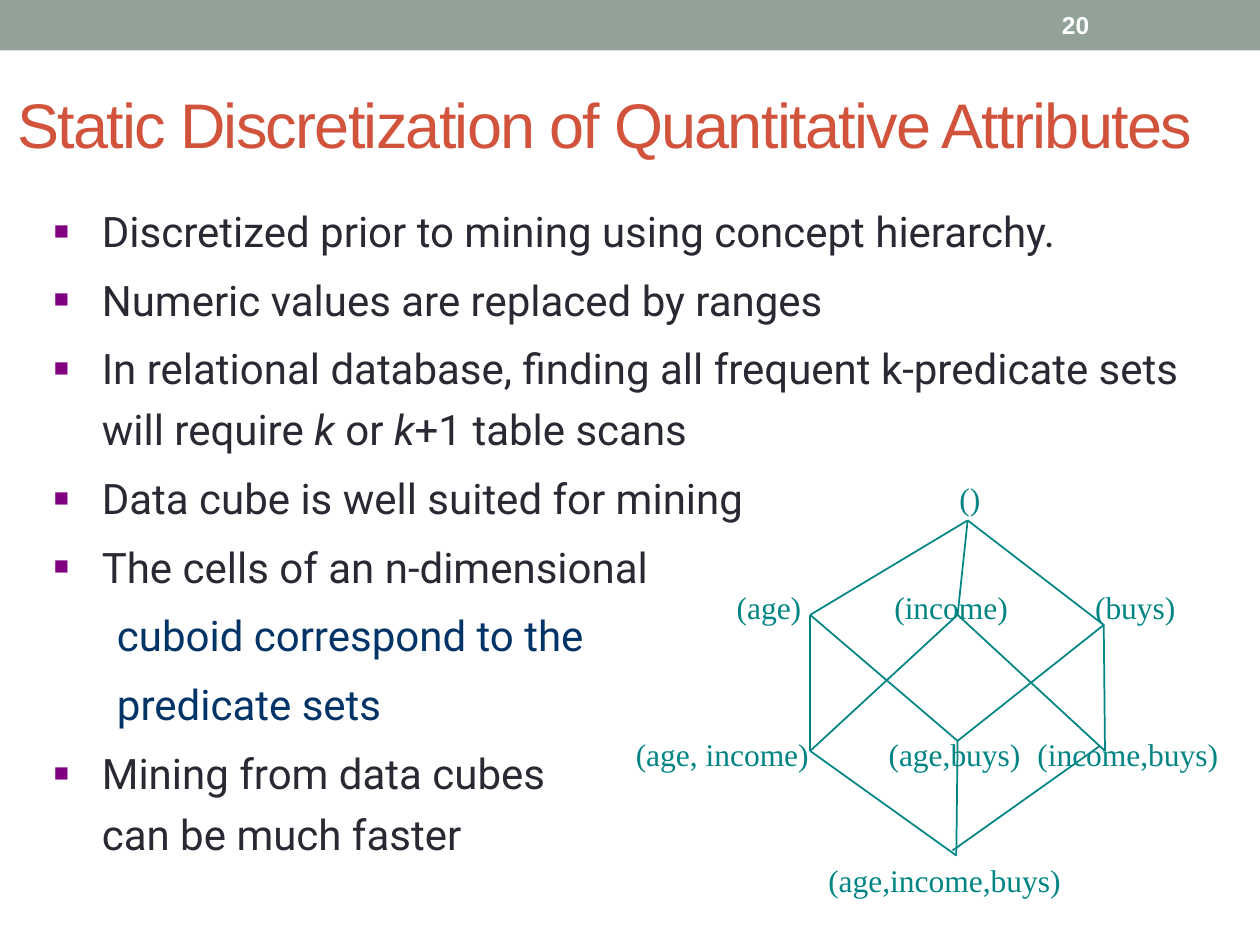
"""Build the slide on static discretization with its cuboid lattice."""
from lxml import etree
from pptx import Presentation
from pptx.dml.color import RGBColor
from pptx.enum import shapes, text
from pptx.oxml import ns
from pptx.util import Inches, Pt

SAGE = RGBColor(0x93, 0xA2, 0x99)
RUST = RGBColor(0xD2, 0x53, 0x3C)
INK = RGBColor(0x29, 0x29, 0x34)
NAVY = RGBColor(0x00, 0x33, 0x66)
TEAL = RGBColor(0x00, 0x84, 0x84)
WHITE = RGBColor(0xFF, 0xFF, 0xFF)
PURPLE = RGBColor(0x80, 0x00, 0x80)


def add_box(parent, left, top, width, height, inset=True, wrap=True):
    tf = parent.shapes.add_textbox(
        Inches(left), Inches(top), Inches(width), Inches(height)).text_frame
    tf.word_wrap = wrap
    if not inset:
        tf.margin_left = tf.margin_right = tf.margin_top = tf.margin_bottom = 0
    return tf


def add_run(p, words, size, font, color):
    r = p.add_run()
    r.text = words
    r.font.size = Pt(size)
    r.font.name = font
    r.font.color.rgb = color
    return r


prs = Presentation()
prs.slide_width = Inches(10)
prs.slide_height = Inches(7.5)
s = prs.slides.add_slide(prs.slide_layouts[6])

band = s.shapes.add_shape(
    shapes.MSO_SHAPE.RECTANGLE, 0, 0, prs.slide_width, Inches(0.4))
band.shadow.inherit = False
band.fill.solid()
band.fill.fore_color.rgb = SAGE
band.line.fill.background()

tf = add_box(s, 0.04, 0.33, 10, 1.29)
tf.vertical_anchor = text.MSO_ANCHOR.MIDDLE
r = add_run(tf.paragraphs[0], "Static Discretization of Quantitative Attributes",
            36, "Arial", RUST)
r.font._element.set("spc", "-100")

BODY = [
    (0, ["Discretized prior to mining using concept hierarchy."]),
    (0, ["Numeric values are replaced by ranges"]),
    (0, ["In relational database, finding all frequent k-predicate sets will require ",
         "k", " or ", "k", "+1 table scans"]),
    (0, ["Data cube is well suited for mining"]),
    (0, ["The cells of an n-dimensional"]),
    (1, ["cuboid correspond to the"]),
    (1, ["predicate sets"]),
    (0, ["Mining from data cubes", "\n", "can be much faster"]),
]
tf = add_box(s, 0.33, 1.5, 9.25, 5.67)
for i, (level, runs) in enumerate(BODY):
    p = tf.add_paragraph() if i else tf.paragraphs[0]
    p.level = level
    p.line_spacing = 1.2
    p.space_before = Pt(4.8)
    margin, indent = (0.81, -0.31) if level else (0.38, -0.38)
    pPr = p._p.get_or_add_pPr()
    pPr.set("marL", str(Inches(margin)))
    pPr.set("indent", str(Inches(indent)))
    if level:
        etree.SubElement(pPr, ns.qn("a:buNone"))
    else:
        clr = etree.SubElement(pPr, ns.qn("a:buClr"))
        etree.SubElement(clr, ns.qn("a:srgbClr"), val=str(PURPLE))
        etree.SubElement(pPr, ns.qn("a:buSzPct"), val="60000")
        etree.SubElement(pPr, ns.qn("a:buFont"), typeface="Arial")
        etree.SubElement(pPr, ns.qn("a:buChar"), char="■")
    for words in runs:
        if words == "\n":
            p.add_line_break()
        else:
            r = add_run(p, words, 24, "Roboto", NAVY if level else INK)
            if words == "k":
                r.font.italic = True

lattice = s.shapes.add_group_shape()
APEX = (7.68, 4.13)
AGE, INCOME, BUYS = (6.43, 4.88), (7.6, 4.88), (8.76, 4.96)
AGE_INCOME, AGE_BUYS, INCOME_BUYS = (6.43, 5.96), (7.6, 5.88), (8.77, 5.96)
BASE = (7.59, 6.79)
EDGES = [
    (APEX, AGE), (APEX, INCOME), (APEX, BUYS),
    (AGE, AGE_INCOME), (AGE, AGE_BUYS),
    (INCOME, AGE_INCOME), (INCOME, INCOME_BUYS),
    (BUYS, AGE_BUYS), (BUYS, INCOME_BUYS),
    (AGE_INCOME, BASE), (AGE_BUYS, BASE), ((8.73, 5.92), (7.56, 6.75)),
]
for (x1, y1), (x2, y2) in EDGES:
    edge = lattice.shapes.add_connector(
        shapes.MSO_CONNECTOR.STRAIGHT, Inches(x1), Inches(y1), Inches(x2), Inches(y2))
    edge.line.color.rgb = TEAL
    edge.line.width = Pt(1)
    etree.SubElement(edge._element.spPr, ns.qn("a:effectLst"))

LABELS = [
    ("()", 7.51, 3.75, 0.37, 0.4),
    ("(age)", 5.82, 4.67, 0.54, 0.3),
    ("(income)", 7, 4.67, 1, 0.3),
    ("(buys)", 8.69, 4.67, 0.64, 0.3),
    ("(age, income)", 5.04, 5.83, 1.38, 0.3),
    ("(age,buys)", 7.05, 5.83, 1.05, 0.3),
    ("(income,buys)", 8.23, 5.83, 1.44, 0.3),
    ("(age,income,buys)", 6.57, 6.83, 1.85, 0.3),
]
for label, *place in LABELS:
    tf = add_box(lattice, *place, inset=label == "()", wrap=label == "(income)")
    tf.auto_size = text.MSO_AUTO_SIZE.SHAPE_TO_FIT_TEXT
    p = tf.paragraphs[0]
    p.alignment = text.PP_ALIGN.RIGHT
    add_run(p, label, 18, "Times New Roman", TEAL)

tf = add_box(s, 8.33, 0.02, 1.17, 0.36)
tf.vertical_anchor = text.MSO_ANCHOR.MIDDLE
add_run(tf.paragraphs[0], "20", 14, "Arial", WHITE).font.bold = True

prs.save("out.pptx")
